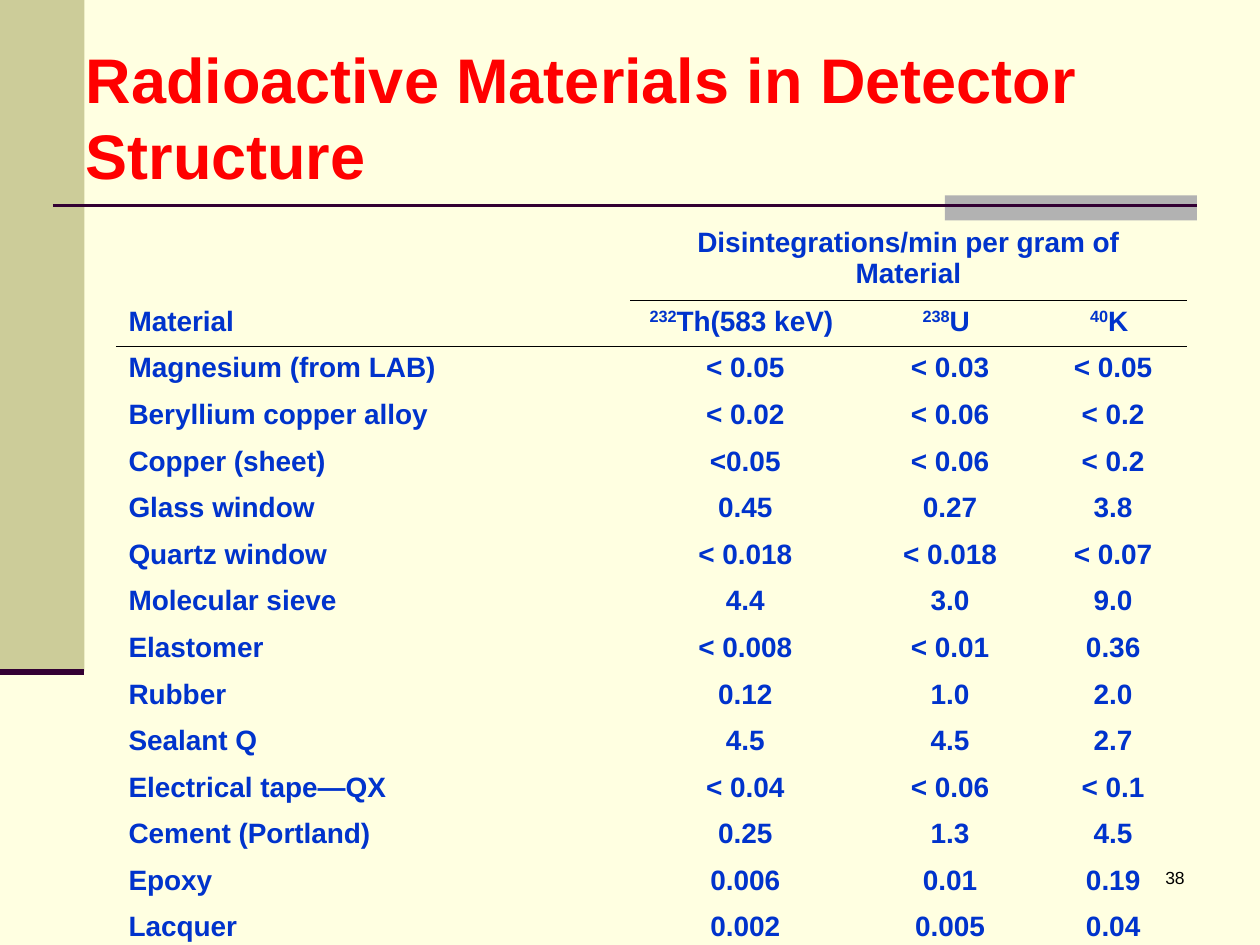
import dataclasses
import pptx
import pptx.util
import pptx.dml.color
import pptx.enum.shapes
import pptx.enum.text
import pptx.oxml
import pptx.oxml.ns

Inches = pptx.util.Inches
ALIGN = pptx.enum.text.PP_ALIGN
ANCHOR = pptx.enum.text.MSO_ANCHOR
PLAIN = "{2D5ABB26-0587-4C30-8999-92F81FD0307C}"  # table style without grid


@dataclasses.dataclass(frozen=True)
class Theme:
    font: str = "Arial"
    back: str = "FFFFE1"
    band: str = "CCCC99"
    tab: str = "B2B2B2"
    rule: str = "330033"
    title: str = "FF0000"
    body: str = "0033CC"
    ink: str = "000000"
    big: int = 36
    mid: int = 16
    small: int = 10


THEME = Theme()

UNITS = "Disintegrations/min per gram of Material"
# Each isotope is a raised mass number and the text after it
HEADS = [("232", "Th(583 keV) "), ("238", "U "), ("40", "K ")]
ROWS = [
    ("Magnesium (from LAB)", "< 0.05", "< 0.03", "< 0.05"),
    ("Beryllium copper alloy", "< 0.02", "< 0.06", "< 0.2"),
    ("Copper (sheet)", "<0.05", "< 0.06", "< 0.2"),
    ("Glass window", "0.45", "0.27", "3.8"),
    ("Quartz window", "< 0.018", "< 0.018", "< 0.07"),
    ("Molecular sieve", "4.4", "3.0", "9.0"),
    ("Elastomer", "< 0.008", "< 0.01", "0.36"),
    ("Rubber", "0.12", "1.0", "2.0"),
    ("Sealant Q", "4.5", "4.5", "2.7"),
    ("Electrical tape—QX", "< 0.04", "< 0.06", "< 0.1"),
    ("Cement (Portland)", "0.25", "1.3", "4.5"),
    ("Epoxy", "0.006", "0.01", "0.19"),
    ("Lacquer", "0.002", "0.005", "0.04"),
]
COLS = [4.08, 1.83, 1.42, 1.17]


def color(code):
    return pptx.dml.color.RGBColor.from_string(code)


def write(frame, text, size=THEME.mid, ink=THEME.body, bold=True,
          align=ALIGN.LEFT, gap=0, sup=""):
    """Fill a text frame with one paragraph, led by an optional superscript."""
    frame.word_wrap = True
    para = frame.paragraphs[0]
    para.alignment = align
    para.space_before = pptx.util.Pt(gap)
    for part in filter(None, (sup, text)):
        run = para.add_run()
        run.text = part
        font = run.font
        font.name, font.bold = THEME.font, bold
        font.size = pptx.util.Pt(size)
        font.color.rgb = color(ink)
        if part == sup:
            font._element.set("baseline", "30000")


def block(slide, box, fill):
    shape = slide.shapes.add_shape(
        pptx.enum.shapes.MSO_SHAPE.RECTANGLE, *map(Inches, box))
    shape.shadow.inherit = False
    shape.fill.solid()
    shape.fill.fore_color.rgb = color(fill)
    shape.line.fill.background()


def rule(slide, left, top, width, weight):
    line = slide.shapes.add_connector(
        pptx.enum.shapes.MSO_CONNECTOR.STRAIGHT,
        Inches(left), Inches(top), Inches(left + width), Inches(top))
    line.line.color.rgb = color(THEME.rule)
    line.line.width = pptx.util.Pt(weight)
    props = line._element.spPr
    props.append(props.makeelement(pptx.oxml.ns.qn("a:effectLst"), {}))


def side(slide, left, top, width, height):
    """Side band closed by a heavy rule."""
    block(slide, (left, top, width, height), THEME.band)
    rule(slide, left, top + height, width, 3.5)


def divide(slide, left, top, width, height):
    """Title rule with a grey tab at its right end."""
    tab = 2
    block(slide, (left + width - tab, top, tab, height), THEME.tab)
    rule(slide, left, top + 0.08, width, 1.5)


def head(slide, left, top, width, height):
    """Slide title, brought in front of the decoration."""
    title = slide.shapes.title
    title.left, title.top = Inches(left), Inches(top)
    title.width, title.height = Inches(width), Inches(height)
    frame = title.text_frame
    frame.auto_size = pptx.enum.text.MSO_AUTO_SIZE.NONE
    frame.vertical_anchor = ANCHOR.MIDDLE
    write(frame, "Radioactive Materials in Detector Structure",
          size=THEME.big, ink=THEME.title)
    slide.shapes._spTree.append(title._element)


def under(cell):
    """Draw a thin line below a cell."""
    line = pptx.oxml.parse_xml(
        f'<a:lnB {pptx.oxml.ns.nsdecls("a")} w="5715"><a:solidFill>'
        f'<a:srgbClr val="{THEME.ink}"/></a:solidFill></a:lnB>')
    cell._tc.get_or_add_tcPr().insert(0, line)


def grid(slide, left, top, width, height):
    """Activity table: unit header, isotope header and materials."""
    first, step = 0.63, 0.37
    count = len(ROWS) + 2
    frame = slide.shapes.add_table(
        count, len(COLS), *map(Inches, (left, top, width, height)))
    table = frame.table
    table.first_row = table.horz_banding = False
    table._tbl.tblPr.find(pptx.oxml.ns.qn("a:tableStyleId")).text = PLAIN
    for col, size in zip(table.columns, COLS):
        col.width = Inches(size)
    for num, row in enumerate(table.rows):
        row.height = Inches(step if num else first)

    # Text, as pairs of superscript and plain part
    lines = [[None, ("", UNITS), None, None], [("", "Material"), *HEADS]]
    lines += [[("", text) for text in row] for row in ROWS]
    for y, line in enumerate(lines):
        for x, pair in enumerate(line):
            cell = table.cell(y, x)
            cell.fill.background()
            if pair:
                write(cell.text_frame, pair[1], sup=pair[0], gap=4,
                      align=ALIGN.CENTER if x else ALIGN.LEFT)
            if y == 1 or (y == 0 and x):
                under(cell)
    table.cell(0, 1).merge(table.cell(0, 3))


def page(slide, left, top, width, height):
    """Slide number."""
    box = slide.shapes.add_textbox(*map(Inches, (left, top, width, height)))
    write(box.text_frame, "38", size=THEME.small, ink=THEME.ink,
          bold=False, align=ALIGN.RIGHT)


def main():
    deck = pptx.Presentation()
    deck.slide_width, deck.slide_height = Inches(10), Inches(7.5)
    slide = deck.slides.add_slide(deck.slide_layouts[5])
    slide.background.fill.solid()
    slide.background.fill.fore_color.rgb = color(THEME.back)
    side(slide, 0, 0, 0.67, 5.33)
    divide(slide, 0.42, 1.55, 9.08, 0.2)
    head(slide, 0.58, 0.3, 8.5, 1.25)
    grid(slide, 0.92, 1.75, 8.5, 5.76)
    page(slide, 7.42, 6.83, 2.08, 0.5)
    deck.save("out.pptx")


if __name__ == "__main__":
    main()
